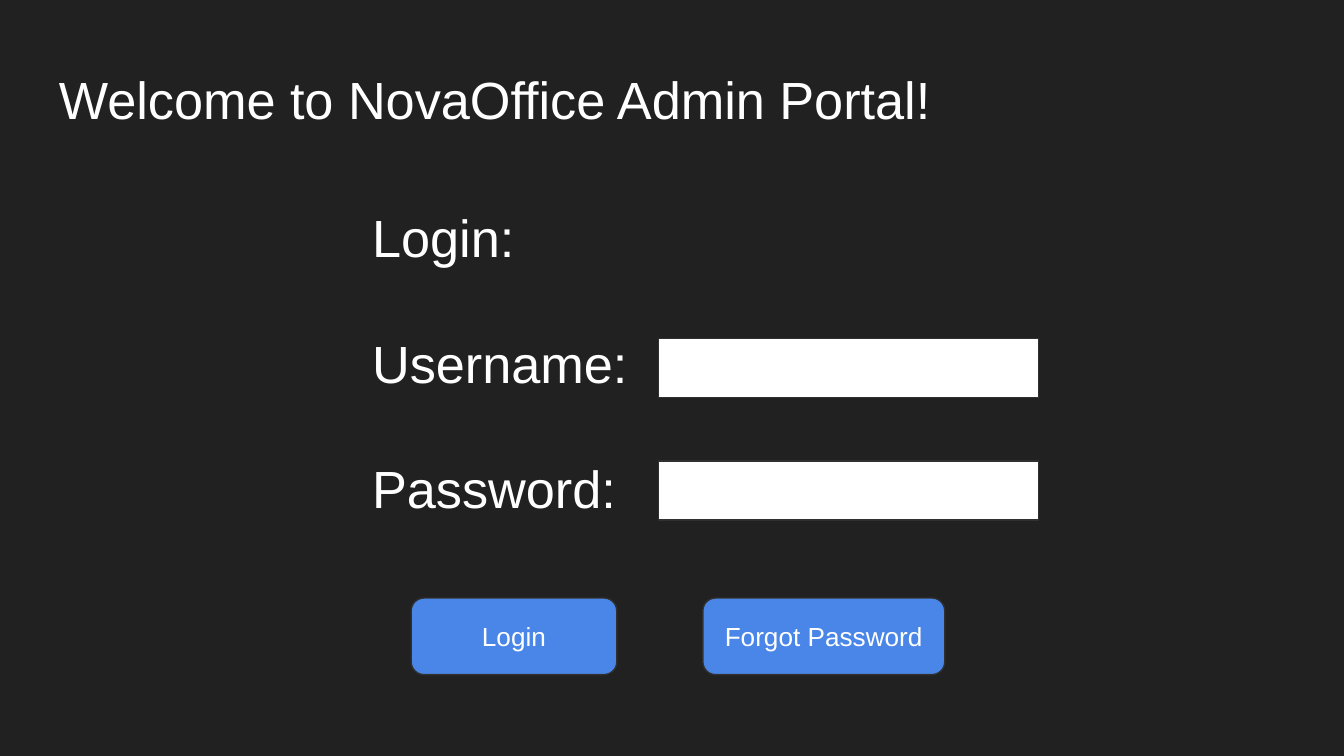
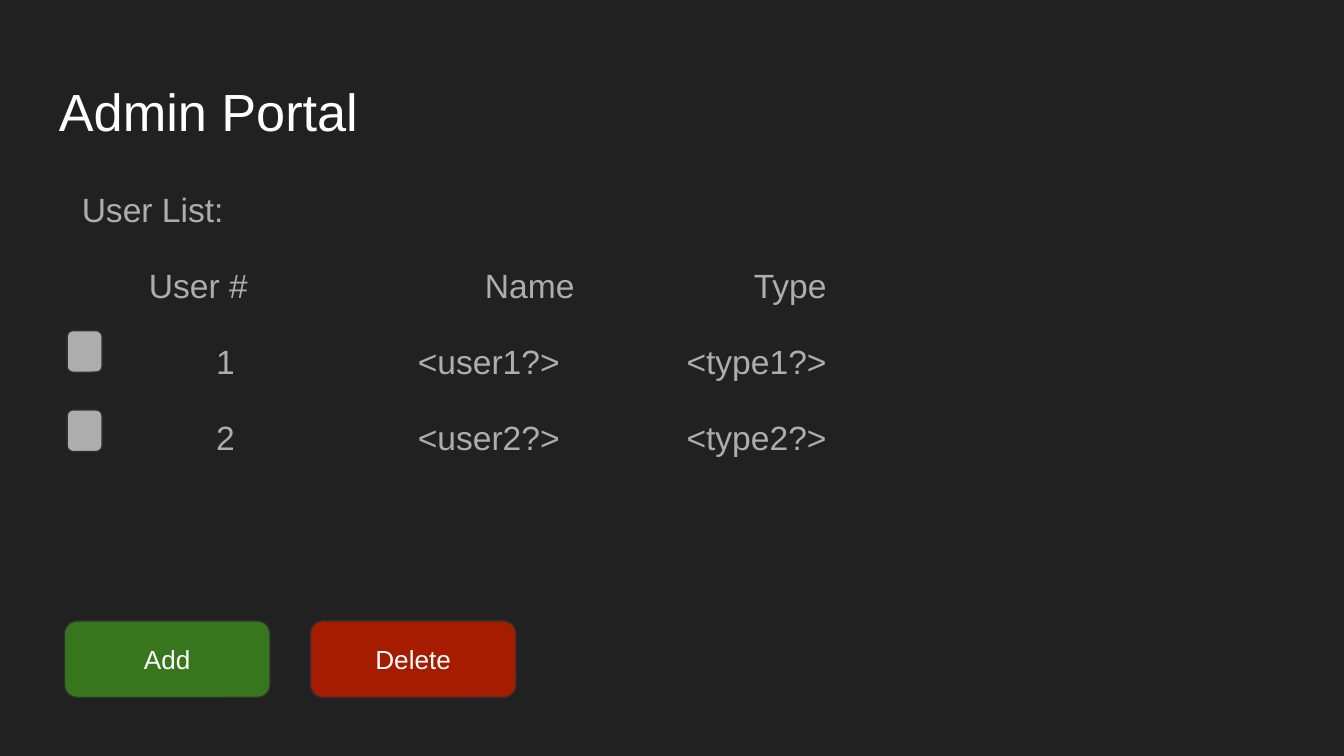
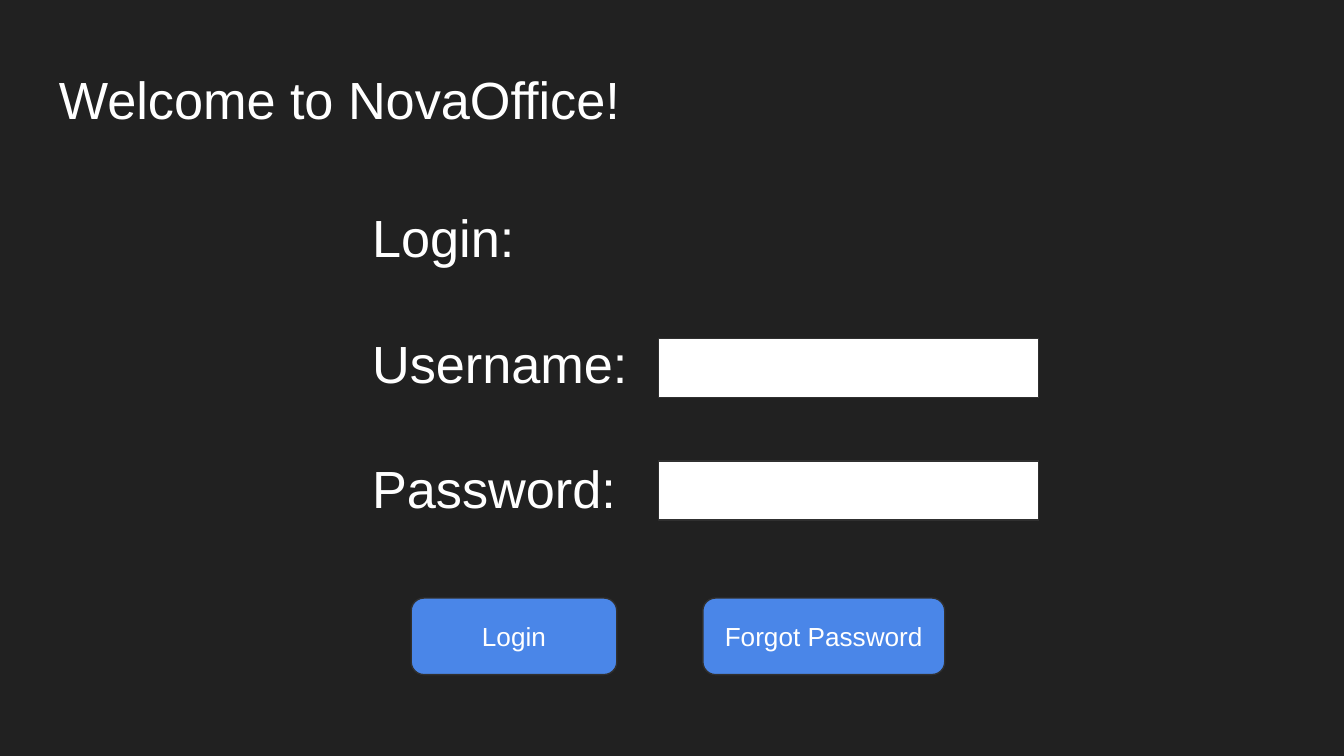
from pptx import Presentation
from pptx.dml.color import RGBColor
from pptx.enum.shapes import MSO_SHAPE
from pptx.enum.text import MSO_ANCHOR, PP_ALIGN
from pptx.util import Inches, Pt

COLORS = {
    "background": "212121",
    "white": "FFFFFF",
    "grey": "ADADAD",
    "outline": "303030",
    "blue": "4A86E8",
    "green": "38761D",
    "red": "A61C00",
}
FONT = "Arial"
BUTTON_WIDTH, BUTTON_HEIGHT = 1.53, 0.57


def write_text(frame, lines, size=28, color="white", align=PP_ALIGN.LEFT,
               anchor=MSO_ANCHOR.TOP, line_spacing=None, space_after=0, indents=()):
    """Write one paragraph per line; indents holds each line's left margin and first-line indent."""
    frame.word_wrap = True
    frame.vertical_anchor = anchor
    frame.margin_left = frame.margin_right = Inches(0.1)
    frame.margin_top = frame.margin_bottom = Inches(0.1)
    for index, line in enumerate(lines):
        paragraph = frame.paragraphs[0] if index == 0 else frame.add_paragraph()
        paragraph.alignment = align
        paragraph.line_spacing = line_spacing
        paragraph.space_after = Pt(space_after)
        run = paragraph.add_run()
        run.text = line
        run.font.name = FONT
        run.font.size = Pt(size)
        run.font.color.rgb = RGBColor.from_string(COLORS[color])
        if indents:
            margin, first_line = indents[index]
            properties = paragraph._p.get_or_add_pPr()
            properties.set("marL", str(Inches(margin)))
            properties.set("indent", str(Inches(first_line)))
            properties.set("defTabSz", str(Inches(1)))


def add_box(slide, left, top, width, height, fill, label=None, kind=MSO_SHAPE.ROUNDED_RECTANGLE):
    """Add an outlined field, check box or button, with a centred label if given."""
    shape = slide.shapes.add_shape(kind, Inches(left), Inches(top), Inches(width), Inches(height))
    shape.shadow.inherit = False
    shape.fill.solid()
    shape.fill.fore_color.rgb = RGBColor.from_string(COLORS[fill])
    shape.line.color.rgb = RGBColor.from_string(COLORS["outline"])
    shape.line.width = Pt(0.75)
    if label:
        write_text(shape.text_frame, [label], size=14, align=PP_ALIGN.CENTER,
                   anchor=MSO_ANCHOR.MIDDLE)


presentation = Presentation()
presentation.slide_width = Inches(10)
presentation.slide_height = Inches(5.625)

# Every slide: dark background and title
slides = []
for title, title_top in [("Welcome to NovaOffice Admin Portal!", 0.4),
                         ("Admin Portal", 0.49),
                         ("Welcome to NovaOffice!", 0.4)]:
    slide = presentation.slides.add_slide(presentation.slide_layouts[6])
    slide.background.fill.solid()
    slide.background.fill.fore_color.rgb = RGBColor.from_string(COLORS["background"])
    title_box = slide.shapes.add_textbox(
        Inches(0.34), Inches(title_top), Inches(9.32), Inches(0.63))
    write_text(title_box.text_frame, [title])
    slides.append(slide)
admin_login, user_list, user_login = slides

# Login forms
for slide in (admin_login, user_login):
    labels = slide.shapes.add_textbox(Inches(2.67), Inches(1.43), Inches(4.51), Inches(2.79))
    write_text(labels.text_frame, ["Login:", "Username:", "Password:"], space_after=33.5)
    for top in (2.52, 3.43):
        add_box(slide, 4.9, top, 2.83, 0.44, "white", kind=MSO_SHAPE.RECTANGLE)
    add_box(slide, 3.06, 4.45, BUTTON_WIDTH, BUTTON_HEIGHT, "blue", "Login")
    add_box(slide, 5.23, 4.45, 1.8, BUTTON_HEIGHT, "blue", "Forgot Password")

# User list on one-inch tab stops, with a check box for each user
users = [1, 2]
lines = ["User List:", "User #\t\tName\t\tType"]
lines += [f"{number}\t\t<user{number}?>\t<type{number}?>" for number in users]
indents = [(0, 0), (0, 0.5)] + [(0.5, 0.5)] * len(users)
list_box = user_list.shapes.add_textbox(Inches(0.51), Inches(1.26), Inches(9.32), Inches(3.74))
write_text(list_box.text_frame, lines, size=18, color="grey", line_spacing=1.15,
           space_after=16, indents=indents)
for index in range(len(users)):
    add_box(user_list, 0.5, 2.46 + index * 0.59, 0.26, 0.31, "grey")
for left, fill, label in [(0.48, "green", "Add"), (2.31, "red", "Delete")]:
    add_box(user_list, left, 4.62, BUTTON_WIDTH, BUTTON_HEIGHT, fill, label)

presentation.save("out.pptx")
